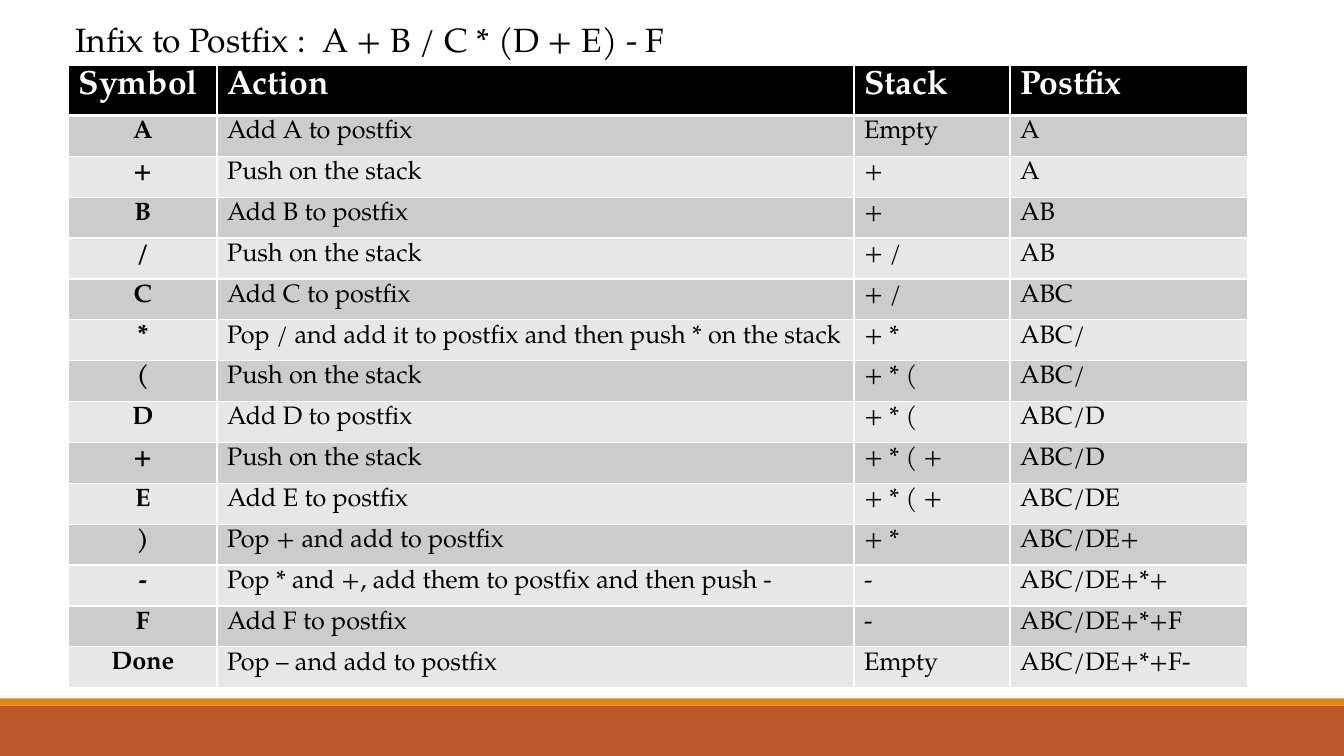
from pptx import Presentation
from pptx.dml.color import RGBColor
from pptx.enum.shapes import MSO_SHAPE
from pptx.enum.text import MSO_ANCHOR, MSO_AUTO_SIZE, PP_ALIGN
from pptx.oxml import parse_xml
from pptx.oxml.ns import nsdecls
from pptx.util import Pt

RECTANGLE = MSO_SHAPE.RECTANGLE
TOP = MSO_ANCHOR.TOP
GROW = MSO_AUTO_SIZE.SHAPE_TO_FIT_TEXT
LEFT, CENTER = PP_ALIGN.LEFT, PP_ALIGN.CENTER

WIDTH, HEIGHT = 960, 540
TITLE_ONLY = 5
ROW_HEIGHT = 29.2
COLUMN_WIDTHS = (106, 455, 111.5, 169.5)
HEADINGS = ("Symbol", "Action", "Stack", "Postfix")
STEPS = (
    ("A", "Add A to postfix", "Empty", "A"),
    ("+", "Push on the stack", "+", "A"),
    ("B", "Add B to postfix", "+", "AB"),
    ("/", "Push on the stack", "+ /", "AB"),
    ("C", "Add C to postfix", "+ /", "ABC"),
    ("*", "Pop / and add it to postfix and then push * on the stack", "+ *", "ABC/"),
    ("(", "Push on the stack", "+ * (", "ABC/"),
    ("D", "Add D to postfix", "+ * (", "ABC/D"),
    ("+", "Push on the stack", "+ * ( +", "ABC/D"),
    ("E", "Add E to postfix", "+ * ( +", "ABC/DE"),
    (")", "Pop + and add to postfix", "+ *", "ABC/DE+"),
    ("-", "Pop * and +, add them to postfix and then push -", "-", "ABC/DE+*+"),
    ("F", "Add F to postfix", "-", "ABC/DE+*+F"),
    ("Done", "Pop – and add to postfix", "Empty", "ABC/DE+*+F-"),
)


def color(hex_code):
    return RGBColor.from_string(hex_code)


class SlideBuilder:
    font_name = "TeX Gyre Pagella"
    ink, paper = "000000", "FFFFFF"
    stripes = ("CCCCCC", "E7E7E7")
    heading_size, body_size = 24, 18

    def __init__(self, slide):
        self.slide = slide

    def style_text(self, frame, size, ink, bold=False, align=LEFT):
        paragraph = frame.paragraphs[0]
        paragraph.alignment = align
        for run in paragraph.runs:
            run.font.name = self.font_name
            run.font.size = Pt(size)
            run.font.bold = bold
            run.font.color.rgb = color(ink)

    def band(self, top, height, fill):
        stripe = self.slide.shapes.add_shape(
            RECTANGLE, 0, Pt(top), Pt(WIDTH), Pt(height))
        stripe.shadow.inherit = False
        stripe.fill.solid()
        stripe.fill.fore_color.rgb = color(fill)
        stripe.line.fill.background()

    def title(self, text, left, top, width, height):
        heading = self.slide.shapes.title
        heading.left, heading.top = Pt(left), Pt(top)
        heading.width, heading.height = Pt(width), Pt(height)
        frame = heading.text_frame
        frame.text = text
        frame.word_wrap = False
        frame.auto_size = GROW
        frame.vertical_anchor = TOP
        self.style_text(frame, self.heading_size, self.ink)

    def borders(self, cell, top, bottom):
        properties = cell._tc.get_or_add_tcPr()
        for side, weight in (("L", 1), ("R", 1), ("T", top), ("B", bottom)):
            properties.append(parse_xml(
                f'<a:ln{side} {nsdecls("a")} w="{Pt(weight)}"><a:solidFill>'
                f'<a:srgbClr val="{self.paper}"/></a:solidFill></a:ln{side}>'))

    def table(self, rows, left, top):
        grid = self.slide.shapes.add_table(
            len(rows), len(COLUMN_WIDTHS), Pt(left), Pt(top),
            Pt(sum(COLUMN_WIDTHS)), Pt(ROW_HEIGHT * len(rows))).table
        for column, width in zip(grid.columns, COLUMN_WIDTHS):
            column.width = Pt(width)
        for r, row in enumerate(rows):
            grid.rows[r].height = Pt(ROW_HEIGHT)
            for c, text in enumerate(row):
                self.fill_cell(grid.cell(r, c), text, r, c)

    def fill_cell(self, cell, text, row, column):
        header = row == 0
        self.borders(cell, 3 if row == 1 else 1, 3 if header else 1)
        cell.fill.solid()
        cell.fill.fore_color.rgb = color(
            self.ink if header else self.stripes[(row - 1) % 2])
        cell.text_frame.text = text
        self.style_text(
            cell.text_frame,
            self.heading_size if header else self.body_size,
            self.paper if header else self.ink,
            bold=header or column == 0,
            align=CENTER if column == 0 and not header else LEFT)


def main():
    deck = Presentation()
    deck.slide_width, deck.slide_height = Pt(WIDTH), Pt(HEIGHT)
    builder = SlideBuilder(deck.slides.add_slide(deck.slide_layouts[TITLE_ONLY]))

    # Footer bands
    builder.band(504, 36, "BD582C")
    builder.band(498.75, 5.25, "E48312")

    # Conversion steps
    builder.table((HEADINGS,) + STEPS, 49, 46.4)

    # Title with the expression
    builder.title("Infix to Postfix :  A + B / C * (D + E) - F", 46.5, 10, 441, 36.35)

    deck.save("out.pptx")


if __name__ == "__main__":
    main()
